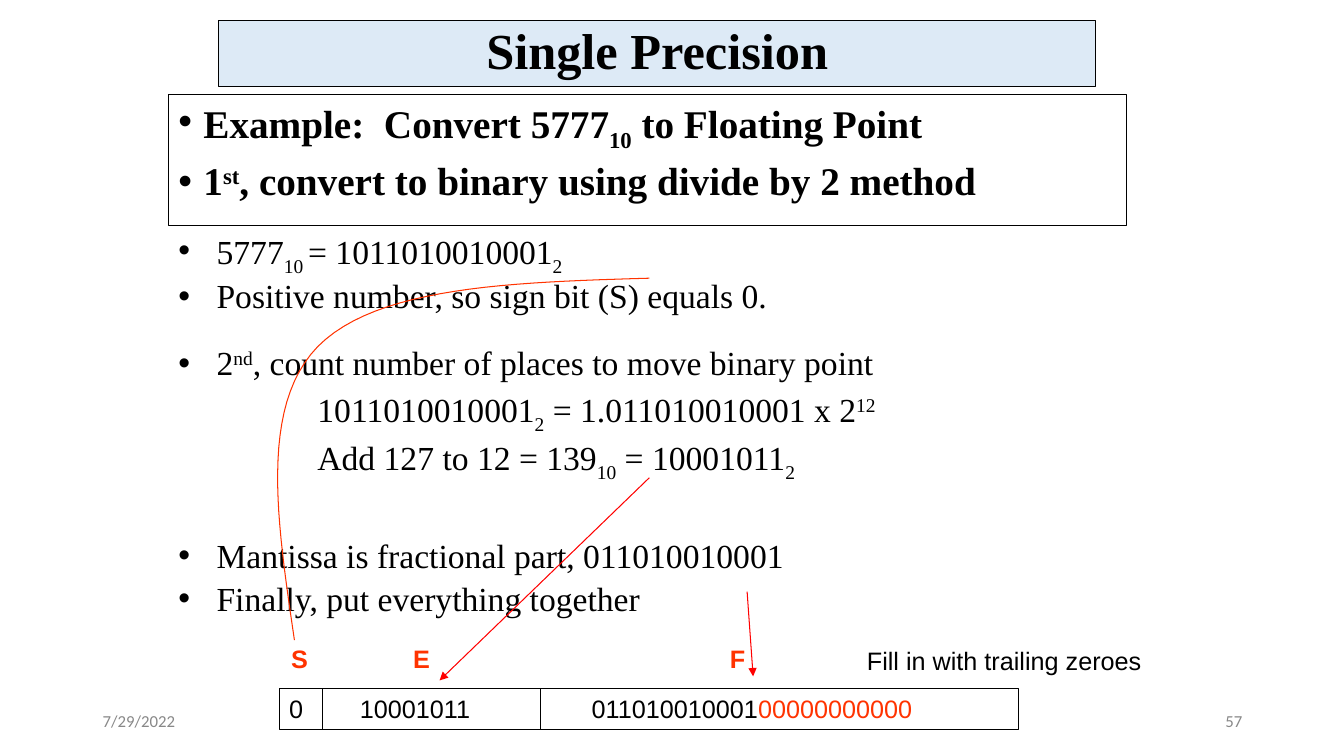
"""Build the slide that converts 5777 to single precision floating point."""
from lxml import etree
from pptx import Presentation
from pptx.dml.color import RGBColor
from pptx.enum.shapes import MSO_CONNECTOR, MSO_SHAPE
from pptx.enum.text import MSO_ANCHOR, PP_ALIGN
from pptx.oxml.ns import qn
from pptx.util import Inches, Pt

RECT = MSO_SHAPE.RECTANGLE
STRAIGHT = MSO_CONNECTOR.STRAIGHT
TOP, MIDDLE = MSO_ANCHOR.TOP, MSO_ANCHOR.MIDDLE
LEFT, CENTER, RIGHT = PP_ALIGN.LEFT, PP_ALIGN.CENTER, PP_ALIGN.RIGHT
SERIF, SANS, FOOT = "Times New Roman", "Arial", "Calibri"
COLORS = {"black": "000000", "title": "DDEAF6", "orange": "FF3300",
          "red": "FF0000", "gray": "888888"}
SUB, SUP = -25, 30


def rgb(name):
    return RGBColor.from_string(COLORS[name])


def add_text(p, runs, size=24, font=SERIF, color="black", bold=False, align=LEFT,
             spacing=None, before=0, margin=0, hang=0):
    pPr = p._p.get_or_add_pPr()
    pPr.set("marL", str(Inches(margin)))
    pPr.set("indent", str(-Inches(hang)))
    if hang:
        clr = etree.SubElement(pPr, qn("a:buClr"))
        etree.SubElement(clr, qn("a:srgbClr"), val=COLORS["black"])
        etree.SubElement(pPr, qn("a:buFont"), typeface=SANS)
        etree.SubElement(pPr, qn("a:buChar"), char="•")
    p.alignment = align
    p.space_before = Pt(before)
    if spacing:
        p.line_spacing = spacing
    for text, base, run_color in runs:
        r = p.add_run()
        r.text = text
        r.font.size, r.font.name, r.font.bold = Pt(size), font, bold
        r.font.color.rgb = rgb(run_color or color)
        if base:
            r._r.get_or_add_rPr().set("baseline", str(base * 1000))


def run(text, base=0, color=None):
    return text, base, color


class SlideBuilder:
    def __init__(self, s, width=0.75):
        self.s = s
        self.width = Pt(width)

    def fill_text(self, sp, paragraphs, anchor=TOP):
        tf = sp.text_frame
        tf.word_wrap = True
        tf.vertical_anchor = anchor
        for i, (runs, fmt) in enumerate(paragraphs):
            p = tf.paragraphs[0] if i == 0 else tf.add_paragraph()
            add_text(p, runs, **fmt)

    def text(self, box, paragraphs, anchor=TOP):
        sp = self.s.shapes.add_textbox(*map(Inches, box))
        self.fill_text(sp, paragraphs, anchor)

    def rect(self, box, paragraphs, fill=None, anchor=TOP):
        sp = self.s.shapes.add_shape(RECT, *map(Inches, box))
        self.outline(sp, "black")
        if fill:
            sp.fill.solid()
            sp.fill.fore_color.rgb = rgb(fill)
        self.fill_text(sp, paragraphs, anchor)

    def outline(self, sp, color):
        sp.shadow.inherit = False
        sp.fill.background()
        sp.line.color.rgb = rgb(color)
        sp.line.width = self.width

    def line(self, x1, y1, x2, y2, color="black", arrow=False):
        c = self.s.shapes.add_connector(STRAIGHT, *map(Inches, (x1, y1, x2, y2)))
        c.line.color.rgb = rgb(color)
        c.line.width = self.width
        if arrow:
            etree.SubElement(c.line._get_or_add_ln(), qn("a:tailEnd"), type="triangle")
        etree.SubElement(c._element.spPr, qn("a:effectLst"))

    def curve(self, start, beziers, color, steps=24):
        points = [start]
        for b, c, d in beziers:
            a = points[-1]
            for i in range(1, steps + 1):
                t = i / steps
                u = 1 - t
                weights = (u ** 3, 3 * u * u * t, 3 * u * t * t, t ** 3)
                points.append(tuple(sum(w * q[k] for w, q in zip(weights, (a, b, c, d)))
                                    for k in (0, 1)))
        points = [(Inches(x), Inches(y)) for x, y in points]
        fb = self.s.shapes.build_freeform(*points[0])
        fb.add_line_segments(points[1:], close=False)
        self.outline(fb.convert_to_shape(), color)


def main():
    prs = Presentation()
    prs.slide_width, prs.slide_height = Inches(13.33), Inches(7.5)
    b = SlideBuilder(prs.slides.add_slide(prs.slide_layouts[6]))

    heading = dict(size=28, bold=True, spacing=0.9, margin=0.25, hang=0.25)
    bullet = dict(spacing=0.9, margin=0.38, hang=0.38)
    next_bullet = dict(bullet, before=4.8)
    step = dict(spacing=0.9, before=4.8, margin=1.38)
    label = dict(size=18, font=SANS)
    field_name = dict(label, color="orange", bold=True)
    footer = dict(size=12, font=FOOT, color="gray")

    b.rect((2.17, 0.2, 8.7, 0.66),
           [([run("Single Precision")],
             dict(size=36, bold=True, align=CENTER, spacing=0.9))],
           fill="title", anchor=MIDDLE)
    b.rect((1.67, 0.94, 9.5, 1.3), [
        ([run("Example:  Convert 5777"), run("10", SUB), run(" to Floating Point")], heading),
        ([run("1"), run("st", SUP), run(", convert to binary using divide by 2 method")],
         dict(heading, before=10))])
    b.text((1.67, 2.25, 9.5, 1.19), [
        ([run("5777"), run("10 ", SUB), run("= 1011010010001"), run("2", SUB)], bullet),
        ([run("Positive number, so sign bit (S) equals 0.")], next_bullet)])
    b.text((1.67, 3.39, 9.5, 1.46), [
        ([run("2"), run("nd", SUP), run(", count number of places to move binary point")],
         bullet),
        ([run("1011010010001"), run("2", SUB), run(" = 1.011010010001 x 2"),
          run("12", SUP)], step),
        ([run("Add 127 to 12 = 139"), run("10", SUB), run(" = 10001011"),
          run("2", SUB)], step)])
    b.text((1.67, 5.3, 9.5, 1.21), [
        ([run("Mantissa is fractional part, 011010010001")], bullet),
        ([run("Finally, put everything together")], next_bullet)])

    b.rect((2.77, 6.83, 7.33, 0.41), [([run("0")], label)])
    fraction = [run("011010010001"), run("00000000000", color="orange")]
    for x, width, bits in ((3.47, 1.8, [run("10001011")]), (5.77, 4.2, fraction)):
        b.text((x, 6.83, width, 0.41), [(bits, label)])
    for x in (3.2, 5.36):
        b.line(x, 6.84, x, 7.24)
    for x, name in ((2.79, "S"), (4, "E"), (7.14, "F")):
        b.text((x, 6.33, 0.5, 0.4), [([run(name)], field_name)])
    b.line(7.41, 5.87, 7.47, 6.71, "red", arrow=True)
    b.line(6.44, 4.74, 4.36, 6.75, "red", arrow=True)
    b.curve((6.44, 2.76), [((5.09, 2.8), (3.74, 2.84), (3.15, 3.44)),
                           ((2.57, 4.04), (2.75, 5.19), (2.92, 6.35))], "orange")
    b.text((8.5, 6.35, 2.97, 0.4), [([run("Fill in with trailing zeroes")], label)])

    b.text((0.92, 6.95, 3, 0.4), [([run("7/29/2022")], footer)], MIDDLE)
    b.text((9.42, 6.95, 3, 0.4), [([run("57")], dict(footer, align=RIGHT))], MIDDLE)
    prs.save("out.pptx")


if __name__ == "__main__":
    main()
